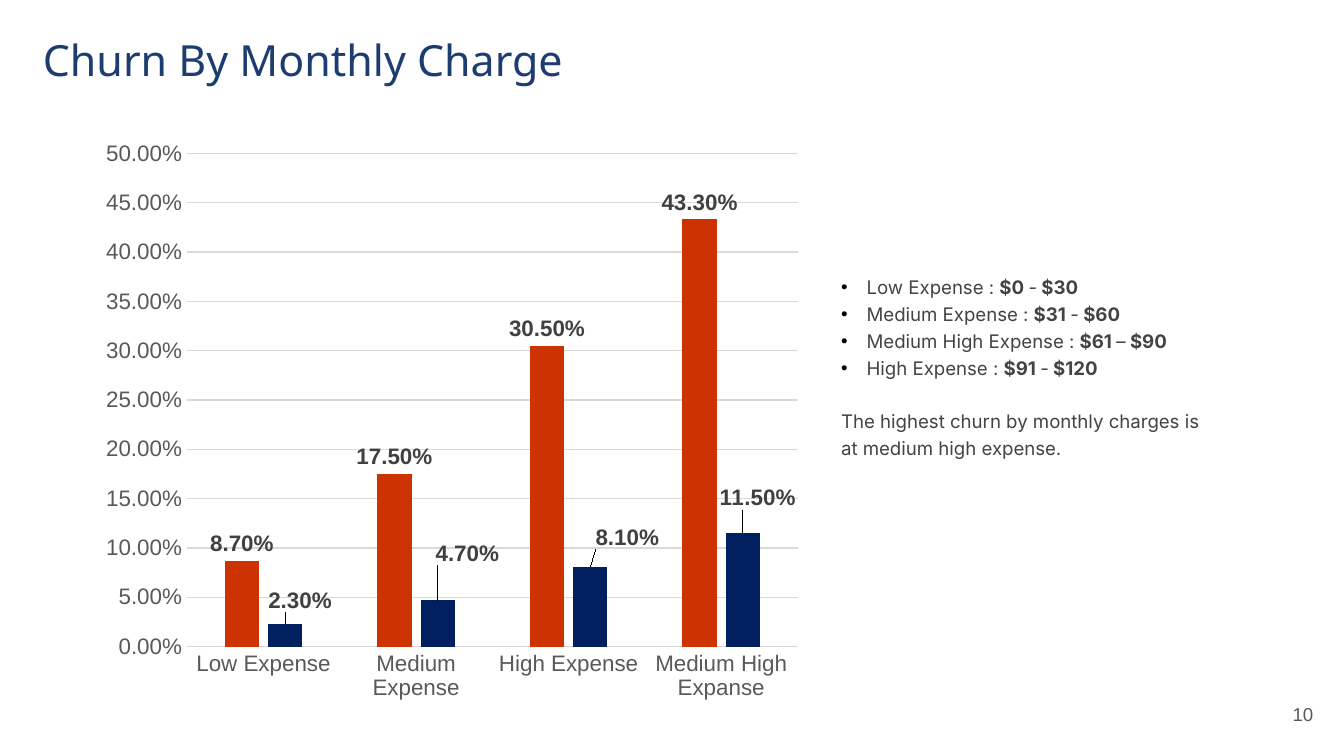
"""Build the slide on churn by monthly charge."""
from lxml.etree import SubElement
from pptx import Presentation
from pptx.chart.data import CategoryChartData
from pptx.dml.color import RGBColor
from pptx.enum.chart import XL_CHART_TYPE, XL_LABEL_POSITION, XL_TICK_MARK
from pptx.enum.dml import MSO_LINE
from pptx.enum.text import MSO_ANCHOR, PP_ALIGN
from pptx.oxml import parse_xml
from pptx.oxml.ns import nsdecls, qn
from pptx.util import Inches, Pt

NAVY = RGBColor(0x1D, 0x3D, 0x70)
GRAY = RGBColor(0x59, 0x59, 0x59)
DARK_GRAY = RGBColor(0x43, 0x43, 0x43)
LABEL_GRAY = RGBColor(0x40, 0x40, 0x40)
LIGHT_GRAY = RGBColor(0xD9, 0xD9, 0xD9)
ORANGE = RGBColor(0xCC, 0x33, 0x00)
DARK_BLUE = RGBColor(0x00, 0x20, 0x60)
BLACK = RGBColor(0, 0, 0)

WIDTH, HEIGHT = 10, 10 * 9 / 16
COLUMNS, ROWS = 100, 56.25
PERCENT = "0.00%"
CATEGORIES = ["Low Expense", "Medium Expense", "High Expense", "Medium High Expanse"]
SERIES = [
    ("Series 1", ORANGE, [0.087, 0.175, 0.305, 0.433], []),
    ("Series 2", DARK_BLUE, [0.023, 0.047, 0.081, 0.115],
     [(0.02, -0.01), (0.04, -0.05), (0.05, -0.02), (0.02, -0.03)]),
]
RANGES = [
    ("Low Expense", "$0", "-", "$30"),
    ("Medium Expense", "$31", "-", "$60"),
    ("Medium High Expense", "$61", "–", "$90"),
    ("High Expense", "$91", "-", "$120"),
]
NO_LEADER_LINES = (
    f"<c:extLst {nsdecls('c')}><c:ext uri=\"{{CE6537A1-D6FC-4f65-9D91-7224C49458BB}}\" "
    "xmlns:c15=\"http://schemas.microsoft.com/office/drawing/2012/chart\">"
    "<c15:showLeaderLines val=\"0\"/></c:ext></c:extLst>")


def set_font(font, name="Arial", size=12, color=GRAY, bold=False):
    """Apply a complete format to a font."""
    font.name, font.size, font.bold = name, Pt(size), bold
    font.color.rgb = color


def add_text(paragraph, text, **style):
    """Append a formatted run to a paragraph."""
    run = paragraph.add_run()
    run.text = text
    set_font(run.font, **style)


def manual_layout(x, y, inner_size=None):
    """Return a chart layout from shares of the chart's size."""
    values = [("x", x), ("y", y)]
    if inner_size:
        values = [("layoutTarget", "inner"), ("xMode", "edge"), ("yMode", "edge"),
                  *values, ("w", inner_size[0]), ("h", inner_size[1])]
    layout = parse_xml(f"<c:layout {nsdecls('c')}><c:manualLayout/></c:layout>")
    for tag, value in values:
        SubElement(layout[0], qn(f"c:{tag}")).set("val", str(value))
    return layout


class SlideBuilder:
    """Hold the text style and the current slide."""

    def __init__(self, slide):
        """Start with a slide and its body style."""
        self.slide = slide
        self.body = {"name": "Inter", "size": 10, "color": DARK_GRAY}

    def place(self, column, row, columns, rows):
        """Turn grid cells into slide lengths."""
        return (Inches(column * WIDTH / COLUMNS), Inches(row * HEIGHT / ROWS),
                Inches(columns * WIDTH / COLUMNS), Inches(rows * HEIGHT / ROWS))

    def text_box(self, *cells, anchor=MSO_ANCHOR.TOP):
        """Add an empty text box and return its text frame."""
        frame = self.slide.shapes.add_textbox(*self.place(*cells)).text_frame
        frame.word_wrap, frame.vertical_anchor = True, anchor
        frame.margin_left = frame.margin_right = Inches(0.1)
        frame.margin_top = frame.margin_bottom = Inches(0.1)
        return frame

    def line(self, *cells, text, align=PP_ALIGN.LEFT, anchor=MSO_ANCHOR.TOP, **style):
        """Add a text box with one line."""
        paragraph = self.text_box(*cells, anchor=anchor).paragraphs[0]
        paragraph.alignment = align
        add_text(paragraph, text, **style)

    def bullet(self, paragraph):
        """Give a paragraph a black hanging bullet."""
        properties = paragraph._p.get_or_add_pPr()
        properties.set("marL", str(Inches(0.19)))
        properties.set("indent", str(-Inches(0.19)))
        color = SubElement(properties, qn("a:buClr"))
        SubElement(color, qn("a:srgbClr")).set("val", str(BLACK))
        SubElement(properties, qn("a:buFont")).set("typeface", "Arial")
        SubElement(properties, qn("a:buChar")).set("char", "•")

    def notes(self, *cells, ranges, conclusion):
        """Add the bulleted price ranges and the conclusion."""
        frame = self.text_box(*cells)
        paragraph = frame.paragraphs[0]
        for label, low, dash, high in ranges:
            self.bullet(paragraph)
            paragraph.line_spacing = 1.2
            add_text(paragraph, f"{label} : ", **self.body)
            add_text(paragraph, f"{low} ", bold=True, **self.body)
            add_text(paragraph, dash, **self.body)
            add_text(paragraph, f" {high}", bold=True, **self.body)
            paragraph = frame.add_paragraph()
        paragraph.line_spacing, paragraph.space_before = 1.2, Pt(14.4)
        add_text(paragraph, conclusion, **self.body)

    def column_chart(self, *cells, categories, series):
        """Add the clustered column chart."""
        data = CategoryChartData(number_format=PERCENT)
        data.categories = categories
        for name, _, values, _ in series:
            data.add_series(name, values)
        chart = self.slide.shapes.add_chart(
            XL_CHART_TYPE.COLUMN_CLUSTERED, *self.place(*cells), data).chart
        chart.has_title = chart.has_legend = False
        set_font(chart.font, size=10, color=BLACK)
        plot = chart.plots[0]
        plot.gap_width, plot.overlap, plot.vary_by_categories = 219, -27, False
        self.style_axes(chart)
        for item, (_, color, _, offsets) in zip(plot.series, series):
            self.style_series(item, color, offsets)
        plot_area = chart.element.find(f".//{qn('c:plotArea')}")
        for layout in plot_area.findall(qn("c:layout")):
            plot_area.remove(layout)
        plot_area.insert(0, manual_layout(0.172, 0.021, (0.827, 0.834)))

    def style_axes(self, chart):
        """Format both axes and the gridlines."""
        for axis in (chart.category_axis, chart.value_axis):
            axis.major_tick_mark = axis.minor_tick_mark = XL_TICK_MARK.NONE
            set_font(axis.tick_labels.font)
        value_axis = chart.value_axis
        value_axis.minimum_scale, value_axis.maximum_scale = 0, 0.5
        value_axis.major_unit = 0.05
        value_axis.tick_labels.number_format = PERCENT
        value_axis.tick_labels.number_format_is_linked = False
        value_axis.format.line.fill.background()
        for line in (chart.category_axis.format.line, value_axis.major_gridlines.format.line):
            line.color.rgb, line.width = LIGHT_GRAY, Pt(0.75)
            line.dash_style = MSO_LINE.SOLID

    def style_series(self, series, color, offsets):
        """Color a series and shift its labels by shares of the chart."""
        series.format.fill.solid()
        series.format.fill.fore_color.rgb = color
        labels = series.data_labels
        labels.show_value = True
        labels.number_format, labels.number_format_is_linked = PERCENT, False
        point_labels = [series.points[i].data_label for i in range(len(offsets))]
        for label in [labels, *point_labels]:
            label.position = XL_LABEL_POSITION.OUTSIDE_END
            set_font(label.font, color=LABEL_GRAY, bold=True)
        for element, offset in zip(labels._element.findall(qn("c:dLbl")), offsets):
            element.insert(1, manual_layout(*offset))
        for leader_lines in labels._element.findall(qn("c:showLeaderLines")):
            labels._element.remove(leader_lines)
        labels._element.append(parse_xml(NO_LEADER_LINES))


def main():
    """Build and save the presentation."""
    presentation = Presentation()
    presentation.slide_width, presentation.slide_height = Inches(WIDTH), Inches(HEIGHT)
    slide = presentation.slides.add_slide(presentation.slide_layouts[6])
    builder = SlideBuilder(slide)
    builder.line(92.7, 51, 6, 4.3, text="10", align=PP_ALIGN.RIGHT,
                 anchor=MSO_ANCHOR.MIDDLE, size=10)
    builder.line(2.2, 1.5, 44.2, 7.6, text="Churn By Monthly Charge",
                 name="Noto Sans", size=23, color=NAVY)
    builder.notes(61.6, 19.2, 29.5, 21.7, ranges=RANGES,
                  conclusion="The highest churn by monthly charges is at medium high expense.")
    builder.column_chart(4.5, 10.5, 54.9, 44, categories=CATEGORIES, series=SERIES)
    presentation.save("out.pptx")


if __name__ == "__main__":
    main()
